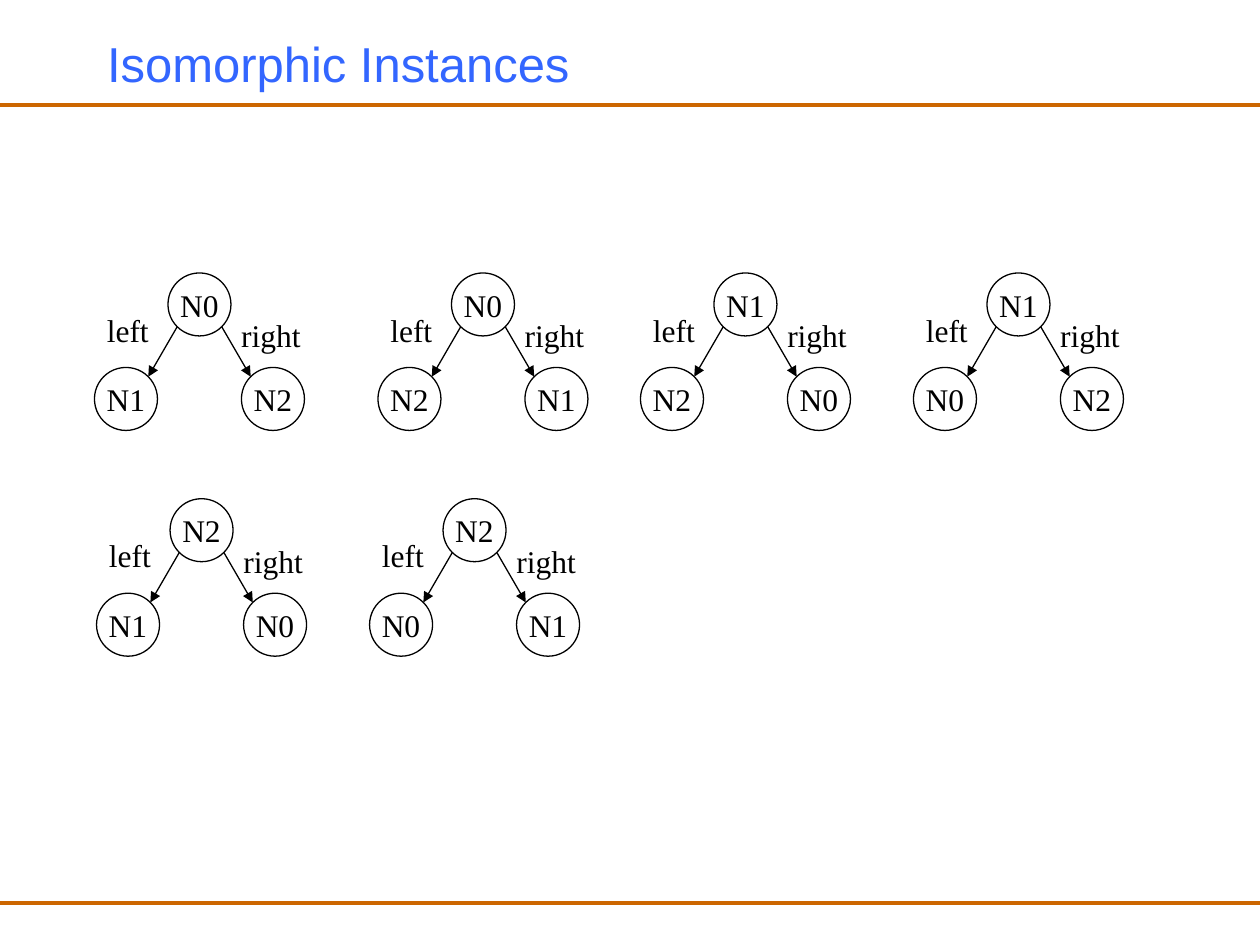
from dataclasses import dataclass
from math import sqrt

from lxml.etree import SubElement
from pptx import Presentation
from pptx.dml.color import RGBColor
from pptx.enum.shapes import MSO_CONNECTOR as Connector, MSO_SHAPE as Shape
from pptx.enum.text import MSO_ANCHOR as Anchor, MSO_AUTO_SIZE as AutoSize, PP_ALIGN as Align
from pptx.oxml.ns import qn
from pptx.slide import Slide
from pptx.text.text import TextFrame
from pptx.util import Pt

COLOURS = {"title": "3366FF", "rule": "CC6600", "ink": "000000"}
TITLE_FONT = "Arial"
BODY_FONT = "Times New Roman"
PAGE_WIDTH, PAGE_HEIGHT = 720, 540
RULE_HEIGHTS = (60, 516)
DIAMETER = 36
ROOT_OFFSET = 42
LEVEL_GAP = 54


@dataclass(frozen=True)
class Tree:
    left: float
    top: float
    root: str
    left_child: str
    right_child: str


TREES = (
    Tree(54, 156, "N0", "N1", "N2"),
    Tree(216, 156, "N0", "N2", "N1"),
    Tree(366, 156, "N1", "N2", "N0"),
    Tree(522, 156, "N1", "N0", "N2"),
    Tree(55.2, 285, "N2", "N1", "N0"),
    Tree(211.2, 285, "N2", "N0", "N1"),
)


def colour(name: str) -> RGBColor:
    return RGBColor.from_string(COLOURS[name])


def write(frame: TextFrame, text: str, size: float, font: str, ink: str, align: Align) -> None:
    frame.text = text
    para = frame.paragraphs[0]
    para.alignment = align
    for span in para.runs:
        span.font.size = Pt(size)
        span.font.name = font
        span.font.color.rgb = colour(ink)


def draw_line(page: Slide, x1: float, y1: float, x2: float, y2: float,
              ink: str, width: float, arrow: bool = False) -> None:
    line = page.shapes.add_connector(Connector.STRAIGHT, Pt(x1), Pt(y1), Pt(x2), Pt(y2))
    line.line.color.rgb = colour(ink)
    line.line.width = Pt(width)
    if arrow:
        SubElement(line.line._get_or_add_ln(), qn("a:tailEnd"), type="triangle")
    SubElement(line._element.spPr, qn("a:effectLst"))


def draw_node(page: Slide, left: float, top: float, name: str) -> None:
    node = page.shapes.add_shape(Shape.OVAL, Pt(left), Pt(top), Pt(DIAMETER), Pt(DIAMETER))
    node.shadow.inherit = False
    node.fill.background()
    node.line.color.rgb = colour("ink")
    node.line.width = Pt(0.75)
    frame = node.text_frame
    frame.word_wrap = False
    frame.vertical_anchor = Anchor.MIDDLE
    write(frame, name, 18, BODY_FONT, "ink", Align.CENTER)


def draw_label(page: Slide, left: float, top: float, width: float, text: str) -> None:
    box = page.shapes.add_textbox(Pt(left), Pt(top), Pt(width), Pt(28.8))
    frame = box.text_frame
    frame.word_wrap = False
    frame.auto_size = AutoSize.SHAPE_TO_FIT_TEXT
    write(frame, text, 18, BODY_FONT, "ink", Align.LEFT)


def draw_tree(page: Slide, tree: Tree) -> None:
    radius = DIAMETER / 2
    reach = radius / sqrt(2)
    root_x = tree.left + ROOT_OFFSET
    child_top = tree.top + LEVEL_GAP
    draw_node(page, root_x, tree.top, tree.root)
    for side, name in ((-1, tree.left_child), (1, tree.right_child)):
        child_x = root_x + side * ROOT_OFFSET
        draw_node(page, child_x, child_top, name)
        draw_line(page,
                  root_x + radius + side * reach, tree.top + radius + reach,
                  child_x + radius - side * reach, child_top + radius - reach,
                  "ink", 0.75, arrow=True)
    draw_label(page, tree.left + 76.8, tree.top + 21, 48.2, "right")
    draw_label(page, tree.left, tree.top + 18, 38.2, "left")


def main() -> None:
    deck = Presentation()
    deck.slide_width, deck.slide_height = Pt(PAGE_WIDTH), Pt(PAGE_HEIGHT)
    page = deck.slides.add_slide(deck.slide_layouts[5])
    title = page.shapes.title
    title.left, title.top, title.width, title.height = Pt(54), Pt(12), Pt(612), Pt(48)
    title.text_frame.vertical_anchor = Anchor.MIDDLE
    write(title.text_frame, "Isomorphic Instances", 28, TITLE_FONT, "title", Align.LEFT)
    for height in RULE_HEIGHTS:
        draw_line(page, 0, height, PAGE_WIDTH, height, "rule", 2)
    for tree in TREES:
        draw_tree(page, tree)
    deck.save("out.pptx")


if __name__ == "__main__":
    main()
